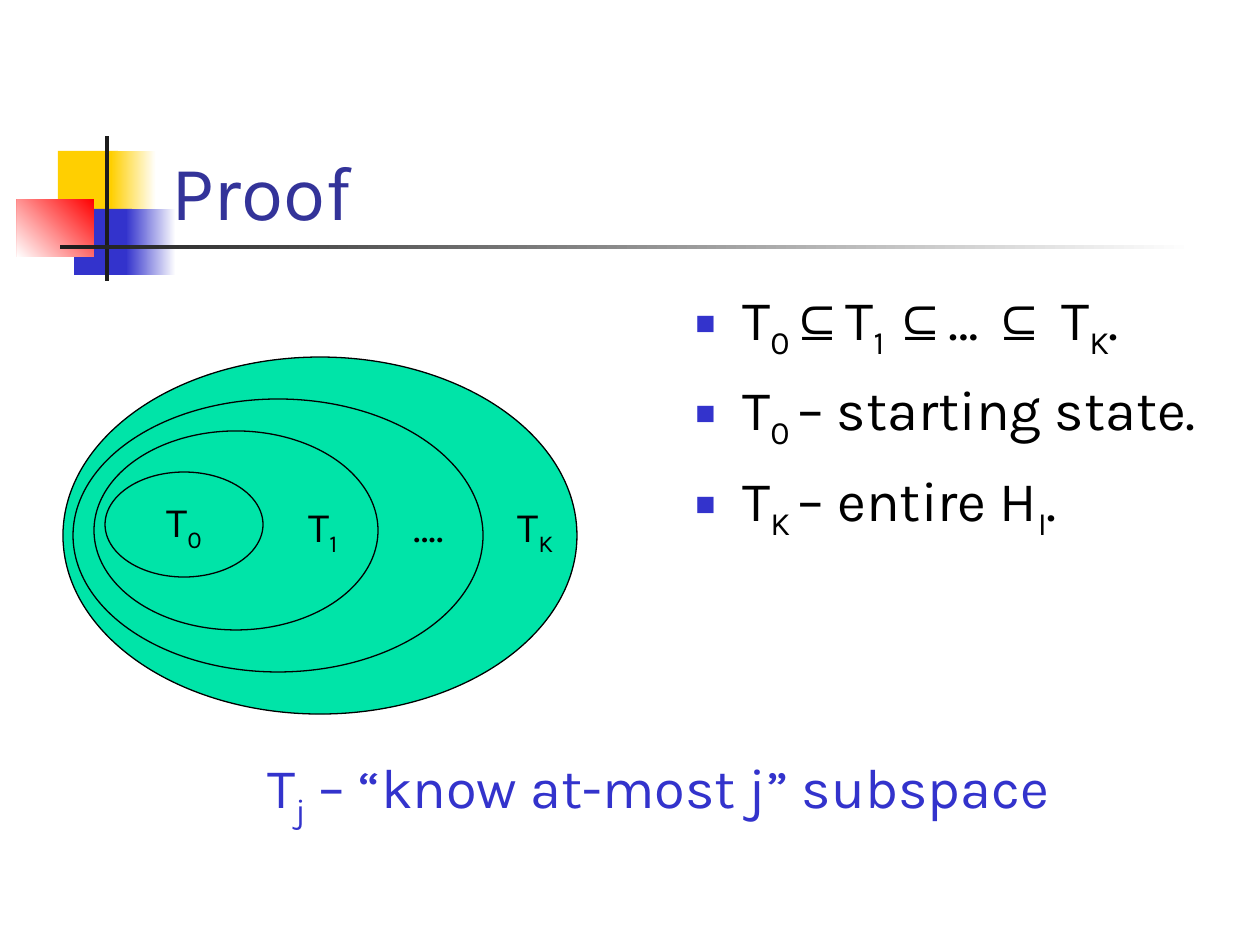
from lxml import etree
from pptx import Presentation
from pptx.dml.color import RGBColor
from pptx.enum.shapes import MSO_SHAPE
from pptx.enum.text import MSO_ANCHOR, PP_ALIGN
from pptx.oxml.ns import qn
from pptx.util import Emu, Pt

RECTANGLE, OVAL = MSO_SHAPE.RECTANGLE, MSO_SHAPE.OVAL
MIDDLE, BOTTOM = MSO_ANCHOR.MIDDLE, MSO_ANCHOR.BOTTOM
CENTER = PP_ALIGN.CENTER

WHITE = RGBColor(0xFF, 0xFF, 0xFF)
BLACK = RGBColor(0x00, 0x00, 0x00)
CHARCOAL = RGBColor(0x1C, 0x1C, 0x1C)
YELLOW = RGBColor(0xFF, 0xCF, 0x01)
BLUE = RGBColor(0x33, 0x33, 0xCC)
RED = RGBColor(0xFF, 0x00, 0x00)
NAVY = RGBColor(0x33, 0x33, 0x99)
GREEN = RGBColor(0x00, 0xE4, 0xA8)

FONT, SYMBOL_FONT = "Karla", "Arial"
SUBSET = "⊆"
PX = 914400 / 126


def px(*lengths):
    return [Emu(round(length * PX)) for length in lengths]


def write(paragraph, parts, size, color):
    """Fill a paragraph; every second part is a subscript."""
    paragraph.font.name = FONT
    paragraph.font.size = Pt(size)
    paragraph.font.color.rgb = color
    for index, part in enumerate(parts):
        before, *after = part.split(SUBSET)
        pieces = [before] + [piece for text in after for piece in (SUBSET, text)]
        for piece in filter(None, pieces):
            run = paragraph.add_run()
            run.text = piece
            if piece == SUBSET:
                run.font.name = SYMBOL_FONT
            if index % 2:
                run._r.get_or_add_rPr().set("baseline", "-25000")


presentation = Presentation()
presentation.slide_width, presentation.slide_height = px(1260, 945)
slide = presentation.slides.add_slide(presentation.slide_layouts[6])
shapes = slide.shapes

# Corner ornament and rule: box, first colour, last colour, gradient angle
ornament = [
    ((58, 151, 60, 66), YELLOW, None, 0),
    ((111, 151, 45, 66), WHITE, YELLOW, 180),
    ((74, 209, 58, 66), BLUE, None, 0),
    ((126, 209, 50, 66), WHITE, BLUE, 180),
    ((17, 199, 77, 58), RED, WHITE, 225),
    ((105, 136, 4, 145), CHARCOAL, None, 0),
    ((60, 245, 1134, 4), WHITE, CHARCOAL, 180),
]
for box, first, last, angle in ornament:
    shape = shapes.add_shape(RECTANGLE, *px(*box))
    shape.shadow.inherit = False
    shape.line.fill.background()
    if last is None:
        shape.fill.solid()
        shape.fill.fore_color.rgb = first
    else:
        shape.fill.gradient()
        shape.fill.gradient_angle = angle
        for stop, color in zip(shape.fill.gradient_stops, (first, last)):
            stop.color.rgb = color

# Nested subspaces, from the outside in
ellipses = [
    ((63, 357, 514, 357), GREEN, None),
    ((73, 399, 410, 273), None, None),
    ((94, 431, 284, 199), None, None),
    ((105, 472, 158, 105), GREEN, ("T", "0")),
]
for box, fill, label in ellipses:
    shape = shapes.add_shape(OVAL, *px(*box))
    shape.shadow.inherit = False
    shape.line.color.rgb = BLACK
    shape.line.width = Pt(0.75)
    if fill is None:
        shape.fill.background()
    else:
        shape.fill.solid()
        shape.fill.fore_color.rgb = fill
    if label:
        frame = shape.text_frame
        frame.word_wrap = False
        frame.vertical_anchor = MIDDLE
        frame.paragraphs[0].alignment = CENTER
        write(frame.paragraphs[0], label, 24, BLACK)

# Title, subspace labels and closing line
texts = [
    ((159, 84, 1074, 158), ("Proof",), 44, NAVY),
    ((296, 494, 62, 71), ("T", "1"), 24, BLACK),
    ((401, 494, 69, 63), ("….",), 24, BLACK),
    ((505, 494, 63, 71), ("T", "K"), 24, BLACK),
    ((255, 746, 813, 89), ("T", "j", " – “know at-most j” subspace"), 32, BLUE),
]
for box, parts, size, color in texts:
    frame = shapes.add_textbox(*px(*box)).text_frame
    frame.word_wrap = size == 44
    if size == 44:
        frame.vertical_anchor = BOTTOM
    write(frame.paragraphs[0], parts, size, color)

# Bulleted statements
statements = [
    ("T", "0", "⊆T", "1 ", "⊆… ⊆ T", "K", "."),
    ("T", "0 ", "– starting state."),
    ("T", "K ", "– entire H", "I", "."),
]
frame = shapes.add_textbox(*px(683, 278, 552, 567)).text_frame
frame.word_wrap = True
indent = px(47)[0]
for index, parts in enumerate(statements):
    paragraph = frame.add_paragraph() if index else frame.paragraphs[0]
    paragraph.space_before = Pt(8)
    properties = paragraph._p.get_or_add_pPr()
    properties.set("marL", str(indent))
    properties.set("indent", str(-indent))
    bullet_color = etree.SubElement(properties, qn("a:buClr"))
    etree.SubElement(bullet_color, qn("a:srgbClr"), val=str(BLUE))
    etree.SubElement(properties, qn("a:buSzPct"), val="60000")
    etree.SubElement(properties, qn("a:buFont"), typeface=SYMBOL_FONT)
    etree.SubElement(properties, qn("a:buChar"), char="■")
    write(paragraph, parts, 32, BLACK)

presentation.save("out.pptx")
